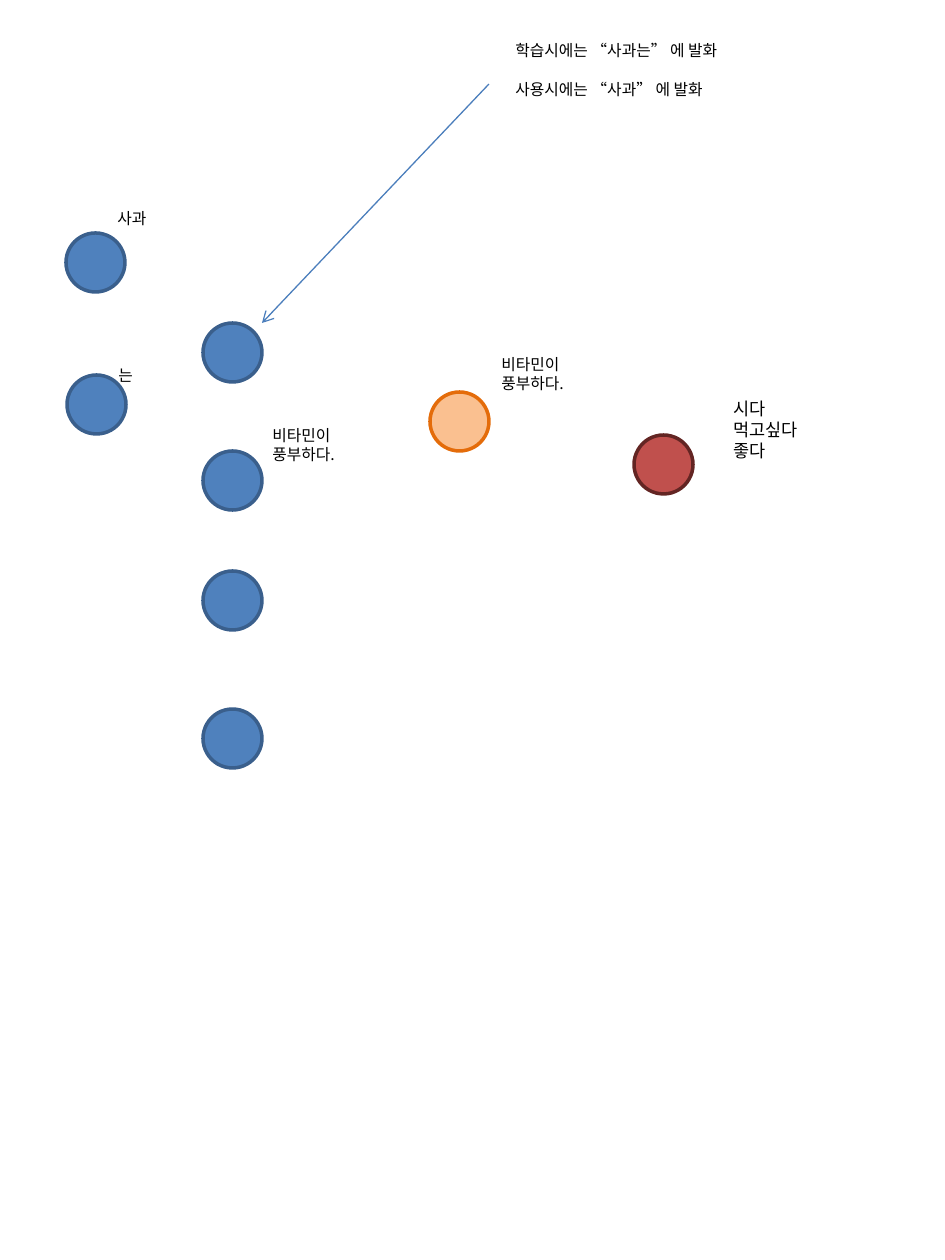
from lxml.etree import SubElement
from pptx import Presentation
from pptx.dml.color import RGBColor
from pptx.enum.shapes import MSO_CONNECTOR, MSO_SHAPE
from pptx.enum.text import MSO_AUTO_SIZE
from pptx.oxml.ns import qn
from pptx.util import Emu, Pt

FONT = "Noto Sans CJK KR"
DIAMETER = 59


def px(n):
    return Emu(round(n * 914400 / 126))


def color(value):
    return RGBColor.from_string(value)


deck = Presentation()
deck.slide_width, deck.slide_height = px(945), px(1260)
slide = deck.slides.add_slide(deck.slide_layouts[6])

# Neurons: left, top, fill, outline
BLUE = ("4F81BD", "3A5F8C")
neurons = [
    (66, 233, *BLUE), (67, 375, *BLUE),
    (203, 323, *BLUE), (203, 451, *BLUE), (203, 571, *BLUE), (203, 709, *BLUE),
    (430, 392, "FAC090", "E46C0A"),
    (634, 435, "C0504D", "632523"),
]
for left, top, fill, outline in neurons:
    neuron = slide.shapes.add_shape(
        MSO_SHAPE.OVAL, px(left), px(top), px(DIAMETER), px(DIAMETER))
    neuron.shadow.inherit = False
    neuron.fill.solid()
    neuron.fill.fore_color.rgb = color(fill)
    neuron.line.color.rgb = color(outline)
    neuron.line.width = Pt(2)

# Labels: left, top, width, height, size, gap between paragraphs, paragraphs
labels = [
    (489, 349, 118, 50, 9, 0, ["비타민이 풍부하다."]),
    (260, 420, 118, 50, 9, 0, ["비타민이 풍부하다."]),
    (105, 203, 118, 31, 9, 0, ["사과"]),
    (106, 360, 39, 31, 9, 0, ["는"]),
    (721, 392, 139, 77, 10, 0, ["시다", "먹고싶다", "좋다"]),
    (503, 35, 237, 71, 9, 11,
     ["학습시에는 “사과는” 에 발화", "사용시에는 “사과” 에 발화"]),
]
for left, top, width, height, size, gap, lines in labels:
    label = slide.shapes.add_textbox(px(left), px(top), px(width), px(height))
    frame = label.text_frame
    frame.word_wrap = True
    frame.auto_size = MSO_AUTO_SIZE.SHAPE_TO_FIT_TEXT
    for i, line in enumerate(lines):
        paragraph = frame.add_paragraph() if i else frame.paragraphs[0]
        paragraph.space_before = Pt(gap if i else 0)
        run = paragraph.add_run()
        run.text = line
        run.font.size = Pt(size)
        run.font.name = FONT
        run.font.color.rgb = color("000000")
        SubElement(run.font._element, qn("a:ea"), typeface=FONT)

# Arrow from the firing note to its neuron
arrow = slide.shapes.add_connector(
    MSO_CONNECTOR.STRAIGHT, px(489), px(84), px(262), px(323))
arrow.line.color.rgb = color("4B7EBC")
arrow.line.width = Pt(0.75)
SubElement(arrow.line._get_or_add_ln(), qn("a:tailEnd"), type="arrow")
SubElement(arrow._element.spPr, qn("a:effectLst"))

deck.save("out.pptx")
